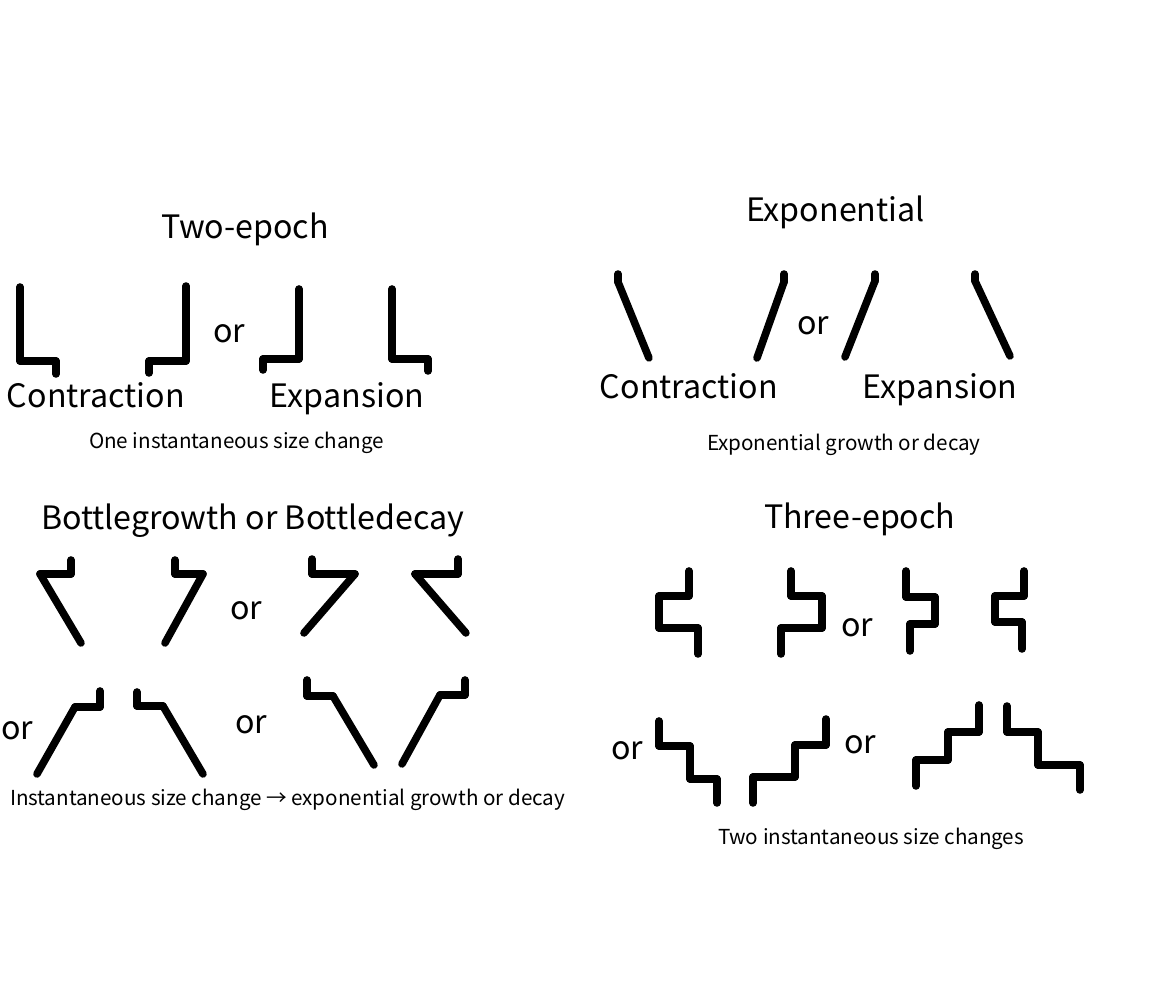
from itertools import pairwise

from lxml.etree import SubElement
from pptx import Presentation
from pptx.dml.color import RGBColor
from pptx.enum.shapes import MSO_CONNECTOR
from pptx.enum.text import MSO_ANCHOR, MSO_AUTO_SIZE
from pptx.oxml.ns import qn
from pptx.util import Emu, Pt

PIXEL = 914400 / 84
FONT = "Noto Sans CJK JP"
BLACK = "000000"
LABEL = {"height": 47, "size": 27.6}
CAPTION = {"height": 34, "size": 17.7}
FRAME = {
    "word_wrap": True,
    "auto_size": MSO_AUTO_SIZE.NONE,
    "vertical_anchor": MSO_ANCHOR.MIDDLE,
    "margin_left": Emu(round(7 * PIXEL)),
    "margin_right": 0,
    "margin_top": 0,
    "margin_bottom": 0,
}

LABELS = [
    ("Two-epoch", 154, 202, 299),
    ("Exponential", 739, 185, 299),
    ("Bottlegrowth or Bottledecay", 34, 493, 507),
    ("Three-epoch", 757, 492, 299),
    ("Contraction", 0, 371, 218),
    ("Expansion", 263, 371, 218),
    ("Contraction", 593, 362, 218),
    ("Expansion", 856, 362, 218),
]
OR_POSITIONS = [
    (206, 306), (790, 298), (223, 583), (228, 697), (-6, 703),
    (834, 600), (837, 717), (604, 723),
]
CAPTIONS = [
    ("One instantaneous size change", 82, 423, 349),
    ("Exponential growth or decay", 700, 425, 349),
    ("Instantaneous size change → exponential growth or decay", 3, 780, 601),
    ("Two instantaneous size changes", 711, 819, 349),
]
TWO_EPOCH = [
    ([(20, 287), (20, 361), (56, 361), (56, 374)],
     [(186, 286), (186, 361), (149, 361), (149, 373)]),
    ([(299, 289), (299, 359), (263, 359), (263, 370)],
     [(392, 289), (392, 359), (428, 359), (428, 371)]),
]
EXPONENTIAL = [
    ([(618, 274), (618, 282), (649, 358)],
     [(784, 274), (784, 282), (757, 358)]),
    ([(875, 274), (875, 281), (845, 357)],
     [(975, 274), (975, 281), (1010, 356)]),
]
BOTTLENECK = [
    ([(71, 560), (71, 574), (40, 574), (81, 643)],
     [(175, 560), (175, 574), (203, 574), (165, 643)]),
    ([(312, 559), (312, 574), (355, 574), (304, 633)],
     [(458, 559), (458, 574), (415, 574), (466, 633)]),
    ([(307, 680), (307, 696), (333, 696), (374, 765)],
     [(465, 680), (465, 695), (440, 695), (402, 764)]),
    ([(100, 691), (100, 707), (75, 707), (37, 774)],
     [(137, 692), (137, 706), (163, 706), (203, 774)]),
]
THREE_EPOCH = [
    ([(689, 571), (689, 596), (659, 596), (659, 628), (698, 628), (698, 654)],
     [(791, 571), (791, 596), (822, 596), (822, 628), (781, 628), (781, 654)]),
    ([(906, 571), (906, 597), (935, 597), (935, 624), (910, 624), (910, 651)],
     [(1024, 571), (1024, 596), (995, 596), (995, 622), (1022, 622), (1022, 649)]),
    ([(659, 721), (659, 746), (690, 746), (690, 779), (717, 779), (717, 803)],
     [(826, 719), (826, 745), (795, 745), (795, 777), (753, 777), (753, 803)]),
    ([(979, 705), (979, 732), (948, 732), (948, 760), (916, 760), (916, 786)],
     [(1007, 706), (1007, 732), (1038, 732), (1038, 765), (1080, 765), (1080, 790)]),
]


def px(value):
    """Turn pixels into EMU."""
    return Emu(round(value * PIXEL))


def color(value):
    """Turn a hex string into a colour."""
    return RGBColor.from_string(value)


def apply_format(target, values):
    """Set each attribute named in a dict."""
    for name, value in values.items():
        setattr(target, name, value)


def add_text(slide, text, left, top, width, style):
    """Add one line of text in a label or caption style."""
    shape = slide.shapes.add_textbox(px(left), px(top), px(width), px(style["height"]))
    apply_format(shape.text_frame, FRAME)
    run = shape.text_frame.paragraphs[0].add_run()
    run.text = text
    apply_format(run.font, {"name": FONT, "size": Pt(style["size"])})
    run.font.color.rgb = color(BLACK)
    SubElement(run.font._element, qn("a:ea"), typeface=FONT)


def add_segment(group, start, end):
    """Add a thick straight line with round ends."""
    connector = group.shapes.add_connector(
        MSO_CONNECTOR.STRAIGHT, *(px(value) for value in (*start, *end)))
    connector.line.width = Pt(6.5)
    connector.line.color.rgb = color(BLACK)
    connector.line._ln.set("cap", "rnd")
    SubElement(connector.line._ln, qn("a:round"))
    SubElement(connector._element.spPr, qn("a:effectLst"))


def add_history(slide, sides):
    """Group the left and right outlines of one population history."""
    group = slide.shapes.add_group_shape()
    for outline in sides:
        for start, end in pairwise(outline):
            add_segment(group, start, end)


def main():
    """Build the slide of population size models."""
    presentation = Presentation()
    apply_format(presentation, {"slide_width": px(1176), "slide_height": px(1008)})
    slide = presentation.slides.add_slide(presentation.slide_layouts[6])
    for sides in TWO_EPOCH + EXPONENTIAL + BOTTLENECK + THREE_EPOCH:
        add_history(slide, sides)
    for label in LABELS:
        add_text(slide, *label, LABEL)
    for left, top in OR_POSITIONS:
        add_text(slide, "or", left, top, 81, LABEL)
    for caption in CAPTIONS:
        add_text(slide, *caption, CAPTION)
    presentation.save("out.pptx")


if __name__ == "__main__":
    main()
